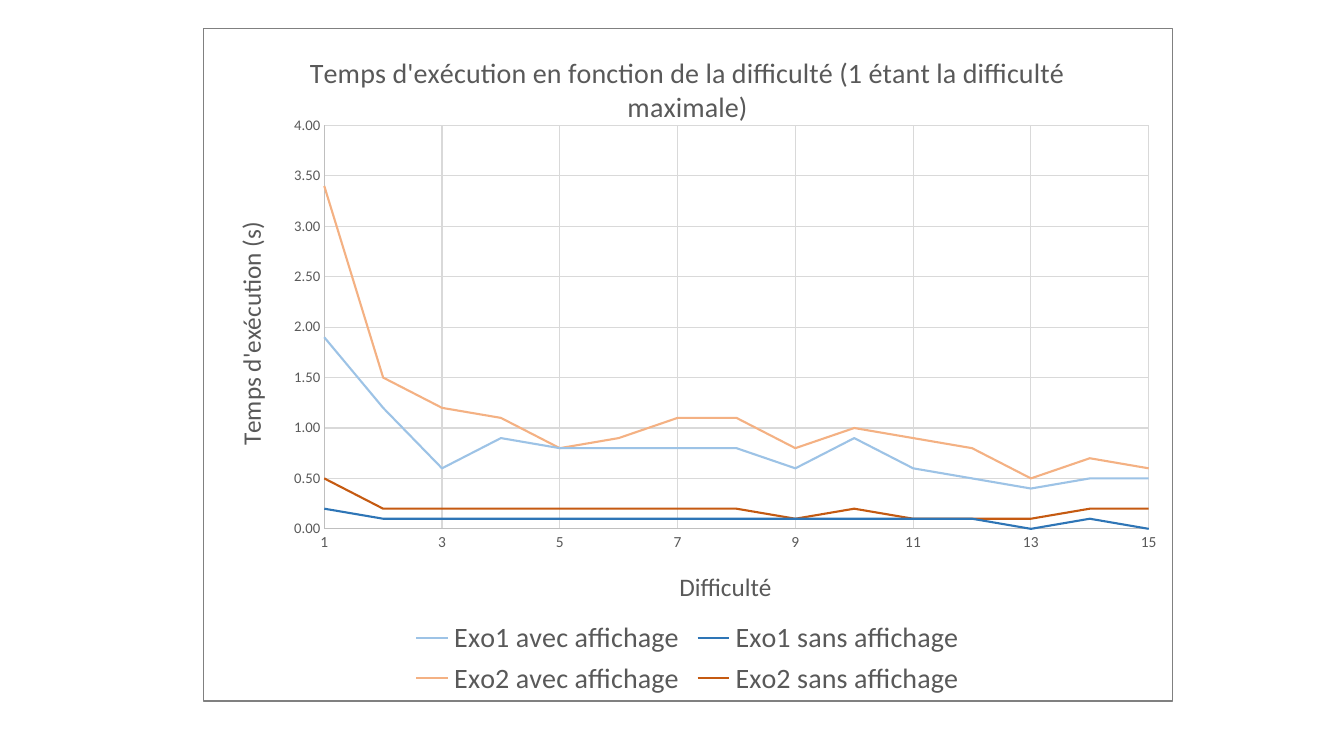
from dataclasses import dataclass

from lxml import etree
from pptx import Presentation
from pptx.chart.data import XyChartData
from pptx.dml.color import RGBColor
from pptx.enum.chart import XL_CHART_TYPE, XL_LEGEND_POSITION, XL_TICK_MARK
from pptx.oxml import parse_xml
from pptx.oxml.ns import nsdecls, qn
from pptx.util import Inches, Pt

SCATTER_LINES = XL_CHART_TYPE.XY_SCATTER_LINES_NO_MARKERS
LEGEND_BOTTOM = XL_LEGEND_POSITION.BOTTOM
NO_TICK = XL_TICK_MARK.NONE


@dataclass(frozen=True)
class Theme:
    """Colours, font and type sizes of the slide."""
    font: str = "Calibri"
    text: str = "595959"
    axis: str = "BFBFBF"
    grid: str = "D9D9D9"
    border: str = "808080"
    background: str = "FFFFFF"
    base_size: float = 10
    difficulty_size: float = 11
    time_size: float = 10.5
    axis_title_size: float = 18
    heading_size: float = 20
    thin_line: float = 0.75
    series_line: float = 1.5


THEME = Theme()
PLOT_LAYOUT = {"layoutTarget": "inner", "xMode": "edge", "yMode": "edge",
               "x": 0.125, "y": 0.144, "w": 0.851, "h": 0.6}

DIFFICULTIES = range(15, 0, -1)
SERIES = [
    ("Exo1 avec affichage", "9DC3E6",
     [0.5, 0.5, 0.4, 0.5, 0.6, 0.9, 0.6, 0.8, 0.8, 0.8, 0.8, 0.9, 0.6, 1.2, 1.9]),
    ("Exo1 sans affichage", "2E75B6",
     [0, 0.1, 0, 0.1, 0.1, 0.1, 0.1, 0.1, 0.1, 0.1, 0.1, 0.1, 0.1, 0.1, 0.2]),
    ("Exo2 avec affichage", "F4B183",
     [0.6, 0.7, 0.5, 0.8, 0.9, 1, 0.8, 1.1, 1.1, 0.9, 0.8, 1.1, 1.2, 1.5, 3.4]),
    ("Exo2 sans affichage", "C55A11",
     [0.2, 0.2, 0.1, 0.1, 0.1, 0.2, 0.1, 0.2, 0.2, 0.2, 0.2, 0.2, 0.2, 0.2, 0.5]),
]


def style_font(font, size):
    """Apply the common text style at the given size."""
    font.name = THEME.font
    font.size = Pt(size)
    font.bold = False
    font.color.rgb = RGBColor.from_string(THEME.text)


def style_line(line, colour, width):
    """Give a line a solid colour and a width in points."""
    line.color.rgb = RGBColor.from_string(colour)
    line.width = Pt(width)


def write_title(title, text, size):
    """Write a chart or axis title."""
    title.text_frame.text = text
    style_font(title.text_frame.paragraphs[0].font, size)


def style_axis(axis, title, limits, step, number_format, size):
    """Set the scale, labels, gridlines and title of an axis."""
    axis.minimum_scale, axis.maximum_scale = limits
    axis.major_unit = step
    axis.major_tick_mark = axis.minor_tick_mark = NO_TICK
    axis.has_major_gridlines = True
    style_line(axis.major_gridlines.format.line, THEME.grid, THEME.thin_line)
    style_line(axis.format.line, THEME.axis, THEME.thin_line)
    axis.tick_labels.number_format = number_format
    axis.tick_labels.number_format_is_linked = False
    style_font(axis.tick_labels.font, size)
    write_title(axis.axis_title, title, THEME.axis_title_size)


def place_plot(chart):
    """Fix the inner plot area as fractions of the chart."""
    plot_area = chart.element.find(".//" + qn("c:plotArea"))
    for layout in plot_area.findall(qn("c:layout")):
        plot_area.remove(layout)
    layout = parse_xml(f"<c:layout {nsdecls('c')}><c:manualLayout/></c:layout>")
    for name, value in PLOT_LAYOUT.items():
        etree.SubElement(layout[0], qn(f"c:{name}")).set("val", str(value))
    plot_area.insert(0, layout)


def frame_chart(chart):
    """Fill the chart background and outline it."""
    frame = parse_xml(
        f'<c:spPr {nsdecls("c", "a")}>'
        f'<a:solidFill><a:srgbClr val="{THEME.background}"/></a:solidFill>'
        f'<a:ln w="{Pt(THEME.thin_line)}"><a:solidFill>'
        f'<a:srgbClr val="{THEME.border}"/></a:solidFill></a:ln></c:spPr>')
    chart.element.find(qn("c:chart")).addnext(frame)


def add_timing_chart(slide):
    """Add the scatter chart of run time against difficulty."""
    data = XyChartData(number_format="0.00")
    for name, _, times in SERIES:
        series = data.add_series(name)
        for difficulty, time in zip(DIFFICULTIES, times):
            series.add_data_point(difficulty, time)
    chart = slide.shapes.add_chart(
        SCATTER_LINES, Inches(2.01), Inches(0.28), Inches(9.62), Inches(6.68), data).chart
    style_font(chart.font, THEME.base_size)
    chart.has_title = True
    write_title(
        chart.chart_title,
        "Temps d'exécution en fonction de la difficulté (1 étant la difficulté maximale)",
        THEME.heading_size)
    chart.has_legend = True
    chart.legend.position = LEGEND_BOTTOM
    chart.legend.include_in_layout = False
    style_font(chart.legend.font, THEME.heading_size)
    style_axis(chart.category_axis, "Difficulté", (1, 15), 2, "General", THEME.difficulty_size)
    style_axis(chart.value_axis, "Temps d'exécution (s)", (0, 4), 0.5, "0.00", THEME.time_size)
    plot = chart.plots[0]
    plot.vary_by_categories = False
    for series, (_, colour, _) in zip(plot.series, SERIES):
        series.smooth = False
        style_line(series.format.line, colour, THEME.series_line)
    place_plot(chart)
    frame_chart(chart)


def main():
    """Build the slide and save it."""
    presentation = Presentation()
    presentation.slide_width = Inches(13.33)
    presentation.slide_height = Inches(7.5)
    slide = presentation.slides.add_slide(presentation.slide_layouts[6])
    add_timing_chart(slide)
    presentation.save("out.pptx")


if __name__ == "__main__":
    main()
